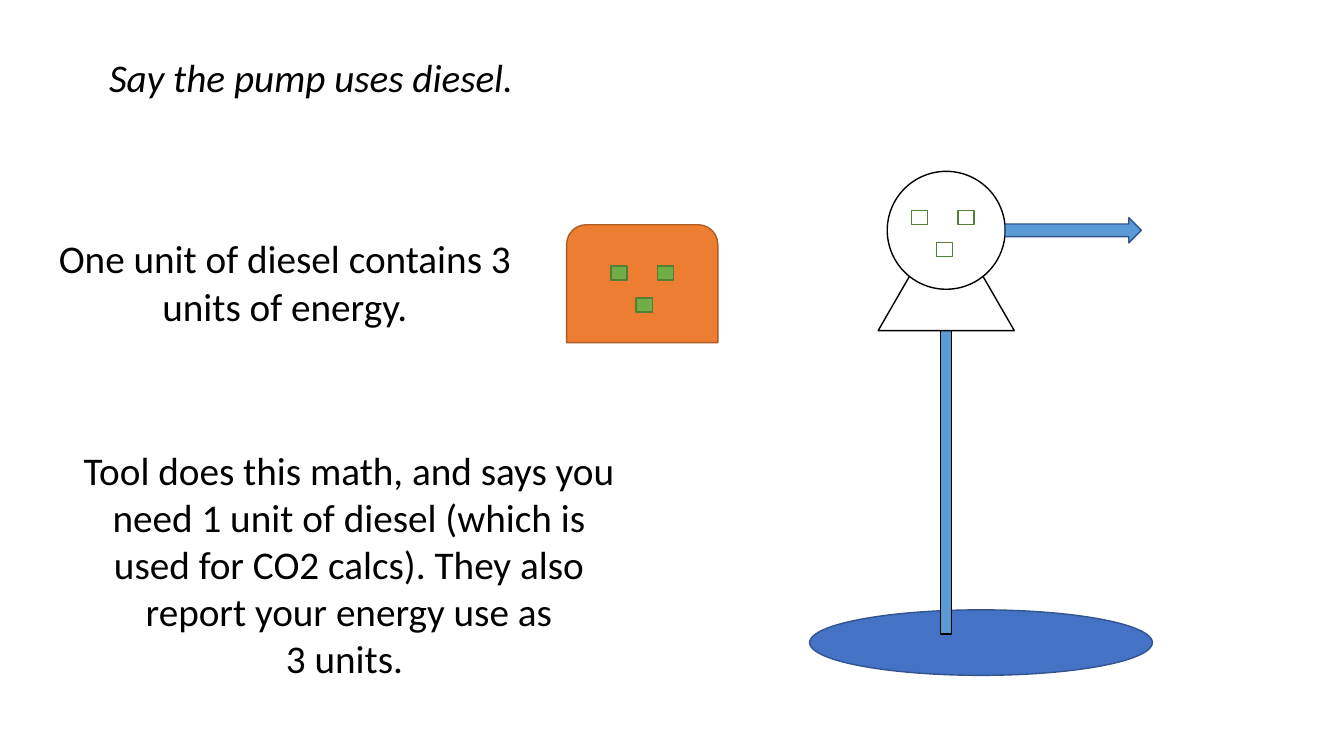
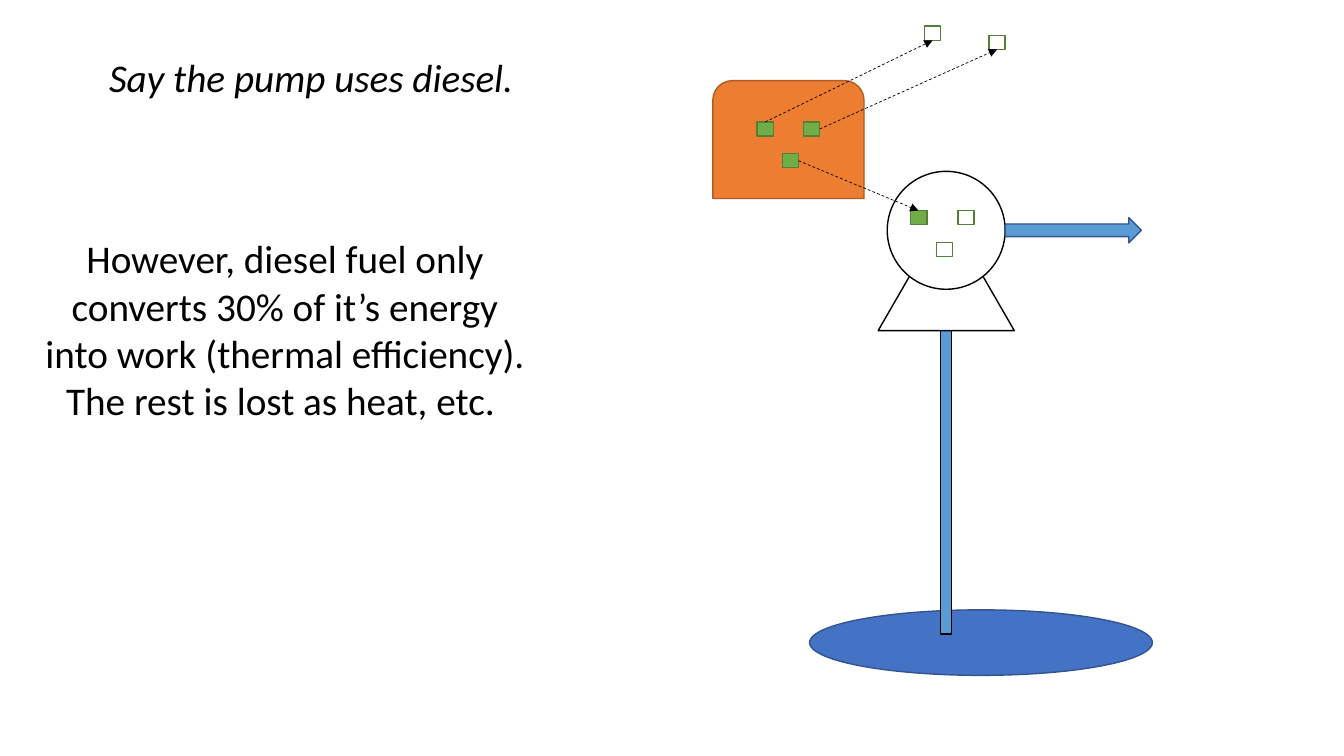
"""Builds two slides on the energy a diesel pump uses."""
import pptx
import pptx.dml.color
import pptx.enum.dml
import pptx.enum.shapes
import pptx.enum.text
import pptx.oxml
import pptx.oxml.ns
import pptx.util

MSO = pptx.enum.shapes.MSO_SHAPE
COLORS = {
    "black": "000000", "white": "FFFFFF",
    "water": "4472C4", "pipe": "5B9BD5", "water_edge": "325491",
    "fuel": "ED7D31", "fuel_edge": "AF5C24",
    "energy": "70AD47", "energy_edge": "538035",
}
ROWS = 75
UNIT_SIZE = (1.6, 1.4)
UNIT_OFFSETS = [(0, 0), (4.6, 0), (2.5, 3.15)]
TOP, BOTTOM, RIGHT = 0, 2, 3


def rgb(name):
    return pptx.dml.color.RGBColor.from_string(COLORS[name])


def write(p, text, size=28, font="Calibri", color="black", italic=False):
    p.alignment = pptx.enum.text.PP_ALIGN.CENTER
    r = p.add_run()
    r.text = text
    r.font.size = pptx.util.Pt(size)
    r.font.name = font
    r.font.italic = italic
    r.font.color.rgb = rgb(color)


class Deck:
    def __init__(self):
        self.prs = pptx.Presentation()
        self.prs.slide_width = pptx.util.Inches(13.33)
        self.prs.slide_height = pptx.util.Inches(7.5)
        self.cell = self.prs.slide_height / ROWS

    def grid(self, *lengths):
        return [pptx.util.Emu(round(n * self.cell)) for n in lengths]

    def slide(self):
        self.s = self.prs.slides.add_slide(self.prs.slide_layouts[6])
        self.text(5.5, 4.8, 50.7, 5.7, "Say the pump uses diesel.", italic=True)
        self.pump()

    def text(self, x, y, w, h, *paragraphs, **style):
        tf = self.s.shapes.add_textbox(*self.grid(x, y, w, h)).text_frame
        tf.word_wrap = True
        tf.auto_size = pptx.enum.text.MSO_AUTO_SIZE.SHAPE_TO_FIT_TEXT
        for i, text in enumerate(paragraphs):
            write(tf.add_paragraph() if i else tf.paragraphs[0], text, **style)

    def shape(self, kind, x, y, w, h, fill, edge):
        sp = self.s.shapes.add_shape(kind, *self.grid(x, y, w, h))
        sp.shadow.inherit = False
        sp.fill.solid()
        sp.fill.fore_color.rgb = rgb(fill)
        sp.line.color.rgb = rgb(edge)
        sp.line.width = pptx.util.Pt(1)
        return sp

    def unit(self, x, y, fill="white"):
        return self.shape(MSO.RECTANGLE, x, y, *UNIT_SIZE, fill, "energy_edge")

    def units(self, x, y, fill="white"):
        return [self.unit(x + dx, y + dy, fill) for dx, dy in UNIT_OFFSETS]

    def group(self, shapes):
        self.s.shapes.add_group_shape(shapes)

    def pump(self):
        parts = [
            self.shape(MSO.OVAL, 80.3, 60.5, 34, 6.5, "water", "water_edge"),
            self.shape(MSO.RECTANGLE, 93.3, 32.8, 1.1, 30.1, "pipe", "black"),
            self.shape(MSO.ISOSCELES_TRIANGLE, 87.1, 21.1, 13.5, 11.7, "white", "black"),
            self.shape(MSO.OVAL, 88, 17, 11.7, 11.7, "white", "black"),
            self.shape(MSO.RIGHT_ARROW, 99.7, 21.6, 13.5, 2.5, "pipe", "water_edge"),
        ]
        self.group(parts + self.units(90.4, 20.9))

    def fuel(self, x, y):
        tank = self.shape(MSO.ROUND_2_SAME_RECTANGLE, x, y, 15, 11.7, "fuel", "fuel_edge")
        return [tank] + self.units(x + 4.4, y + 4.1, "energy")

    def arrow(self, start, start_site, end, end_site):
        c = self.s.shapes.add_connector(pptx.enum.shapes.MSO_CONNECTOR.STRAIGHT, 0, 0, 0, 0)
        c.begin_connect(start, start_site)
        c.end_connect(end, end_site)
        c.line.color.rgb = rgb("black")
        c.line.width = pptx.util.Pt(0.5)
        c.line.dash_style = pptx.enum.dml.MSO_LINE.DASH
        ns = pptx.oxml.ns.nsdecls("a")
        c.line._get_or_add_ln().append(pptx.oxml.parse_xml(f'<a:tailEnd {ns} type="triangle"/>'))
        c._element.spPr.append(pptx.oxml.parse_xml(f"<a:effectLst {ns}/>"))


deck = Deck()

deck.slide()
deck.group(deck.fuel(56.2, 22.3))
deck.text(2.9, 22.8, 50.7, 10.4, "One unit of diesel contains 3 units of energy.")
deck.text(6.2, 43.8, 56.8, 24.6,
          "Tool does this math, and says you need 1 unit of diesel (which is used for "
          "CO2 calcs). They also report your energy use as",
          "3 units. ")

deck.slide()
tank, left, right, lower = deck.fuel(70.7, 8)
deck.text(2.9, 22.8, 50.7, 19.9,
          "However, diesel fuel only converts 30% of it’s energy into work "
          "(thermal efficiency). The rest is lost as heat, etc. ")
lost_left, lost_right = deck.unit(91.7, 2.6), deck.unit(98.1, 3.5)
used = deck.unit(90.3, 20.9, "energy")
deck.arrow(left, TOP, lost_left, BOTTOM)
deck.arrow(right, RIGHT, lost_right, BOTTOM)
deck.arrow(lower, RIGHT, used, TOP)

deck.prs.save("out.pptx")
